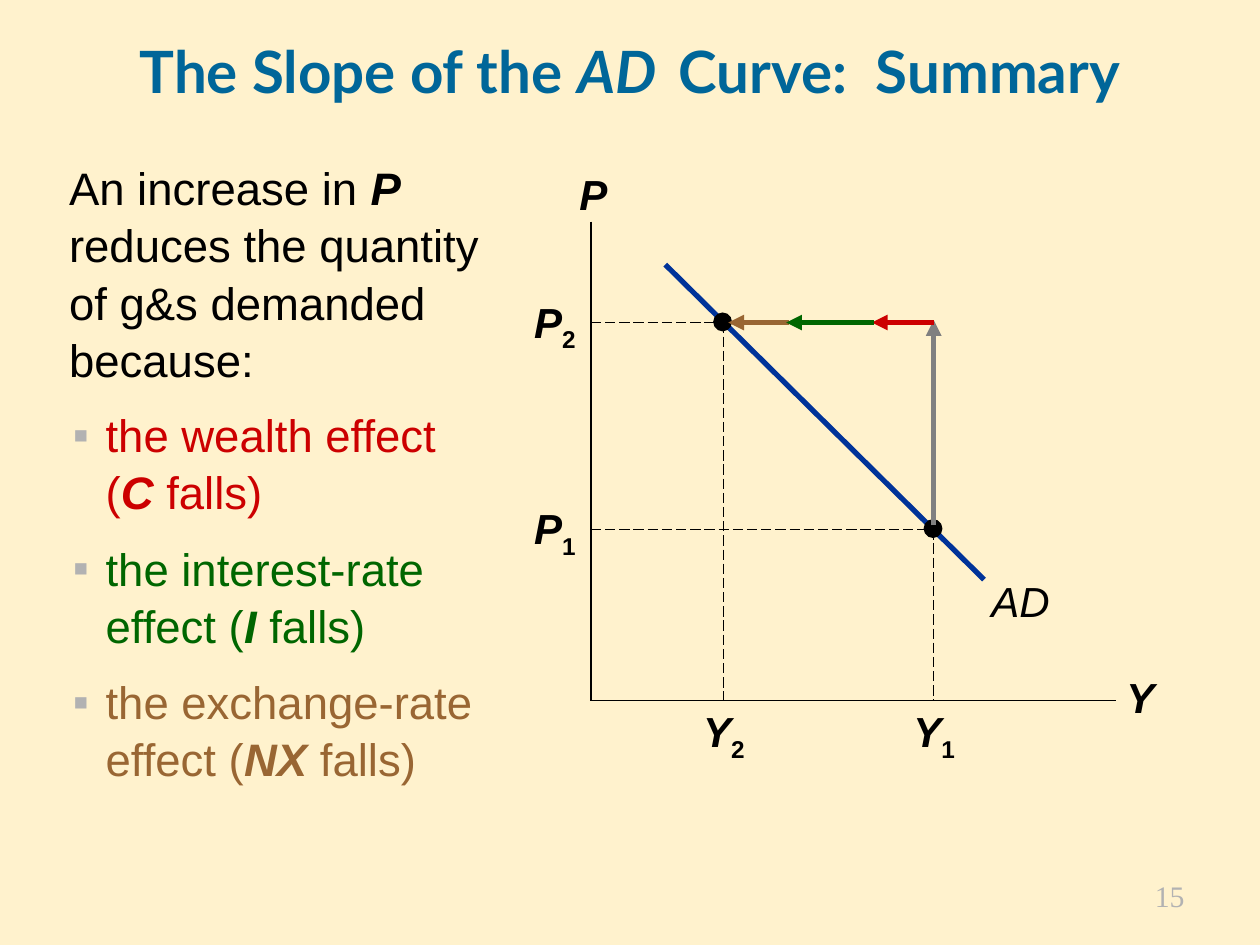
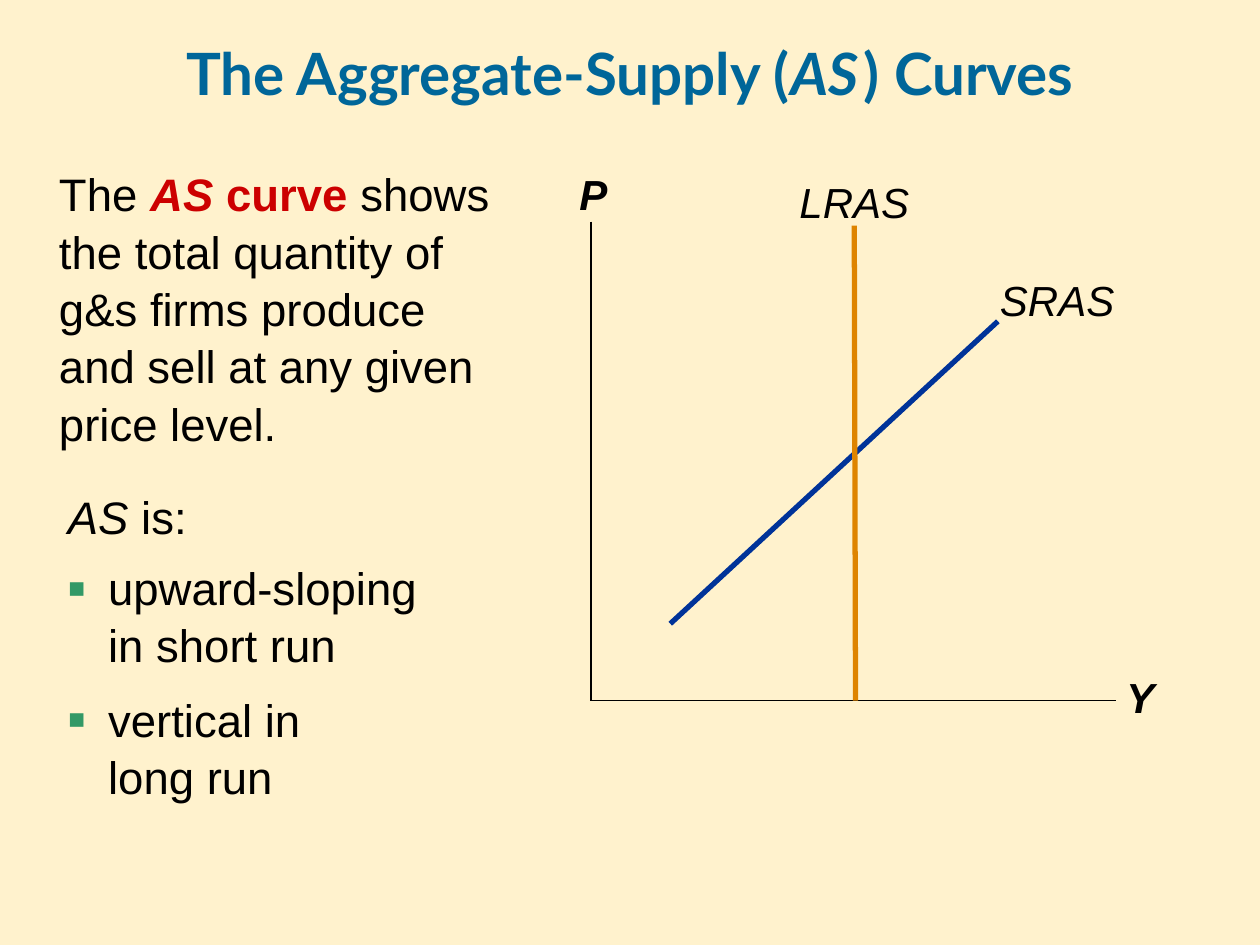
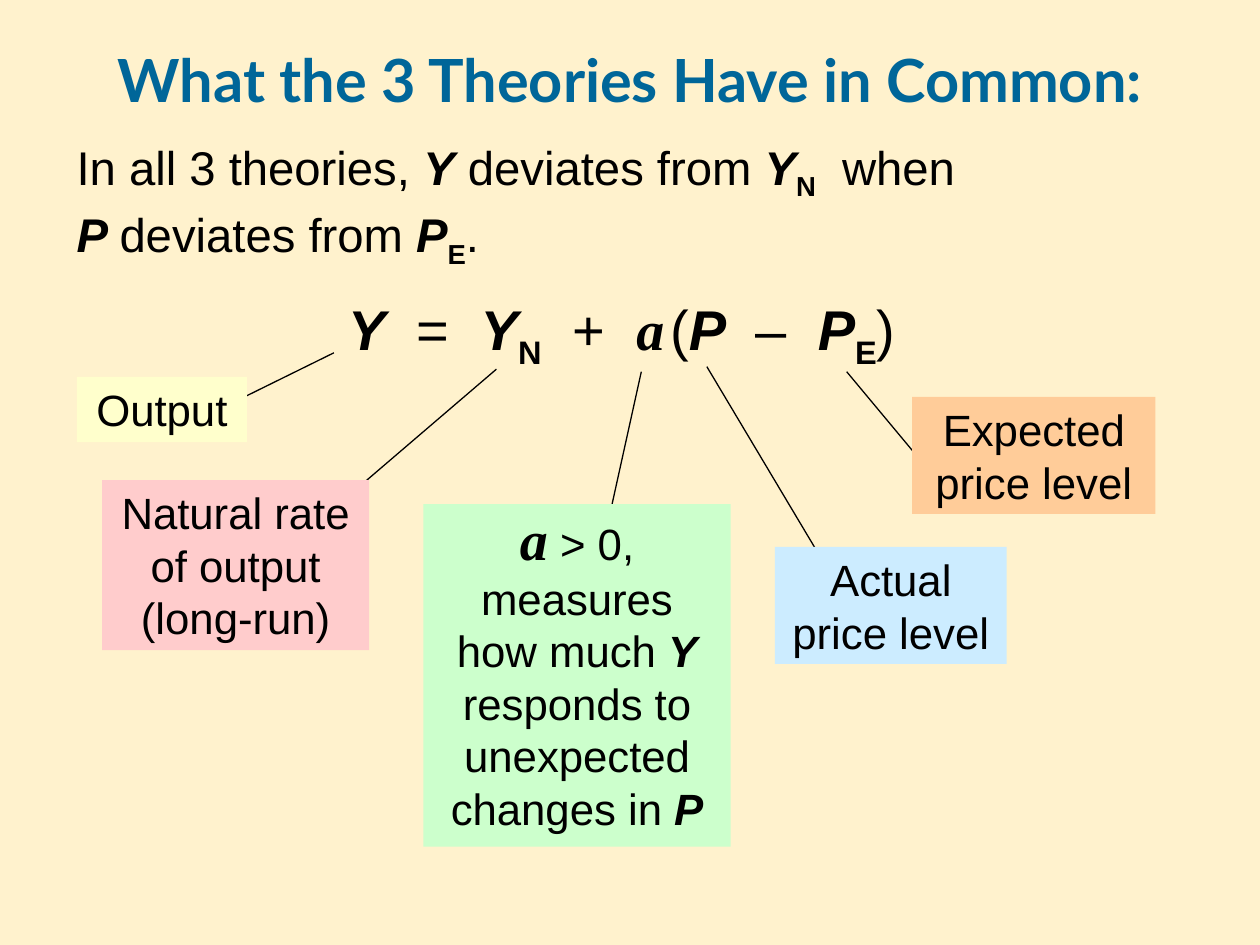
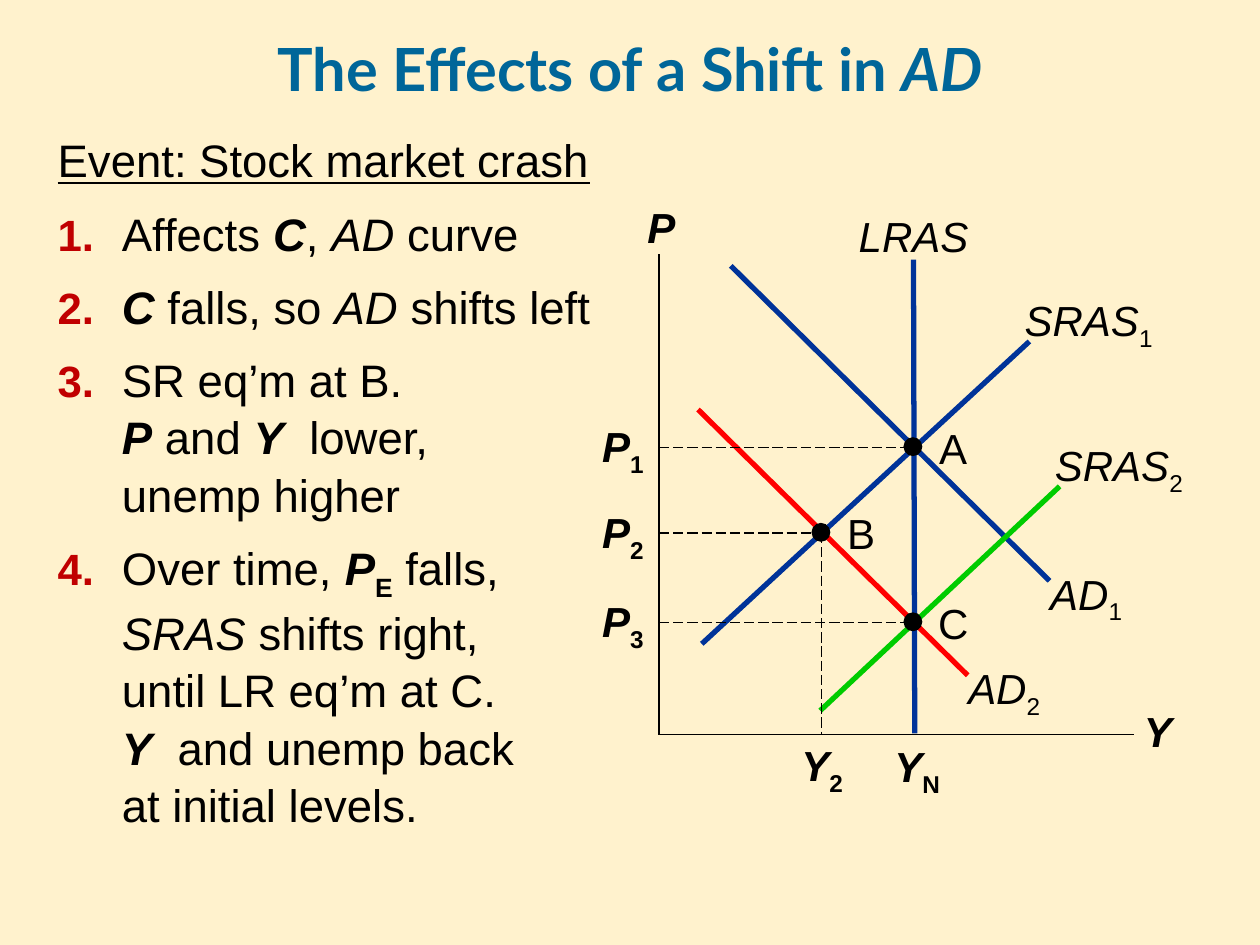
from functools import partial

from lxml.etree import SubElement
from pptx import Presentation
from pptx.dml.color import RGBColor
from pptx.enum.dml import MSO_LINE
from pptx.enum.shapes import MSO_CONNECTOR, MSO_SHAPE
from pptx.enum.text import MSO_ANCHOR, PP_ALIGN
from pptx.oxml.ns import qn
from pptx.util import Emu, Inches, Pt

SLIDE_WIDTH, SLIDE_HEIGHT = Inches(10), Inches(7.5)
CELL = SLIDE_WIDTH // 10

CREAM = RGBColor(0xFF, 0xF2, 0xCD)
TEAL = RGBColor(0x00, 0x66, 0x99)
BLACK = RGBColor(0x00, 0x00, 0x00)
NAVY = RGBColor(0x00, 0x33, 0x99)
CRIMSON = RGBColor(0xCC, 0x00, 0x00)
DARK_RED = RGBColor(0xC0, 0x00, 0x00)
RED = RGBColor(0xFF, 0x00, 0x00)
DARK_GREEN = RGBColor(0x00, 0x66, 0x00)
BRIGHT_GREEN = RGBColor(0x00, 0xCC, 0x00)
SEA_GREEN = RGBColor(0x33, 0x99, 0x66)
BROWN = RGBColor(0x99, 0x66, 0x33)
ORANGE = RGBColor(0xDE, 0x84, 0x00)
GRAY = RGBColor(0x80, 0x80, 0x80)
LIGHT_GRAY = RGBColor(0xB2, 0xB2, 0xB2)
PALE_YELLOW = RGBColor(0xFF, 0xFF, 0xCC)
PALE_PINK = RGBColor(0xFF, 0xCC, 0xCC)
PALE_GREEN = RGBColor(0xCC, 0xFF, 0xCC)
PALE_BLUE = RGBColor(0xCC, 0xEC, 0xFF)
PALE_ORANGE = RGBColor(0xFF, 0xCC, 0x99)

BODY_FONT, TITLE_FONT, SERIF_FONT = "Arial", "Lato", "Times New Roman"
INSETS = (0.1, 0.05, 0.1, 0.05)
NO_INSETS = (0, 0, 0, 0)

AD_SHIFT = (0.29, -0.15)
SRAS_SHIFT = (0.47, -0.42)
LRAS_SHIFT = (0, -0.44)


def grid(cells):
    return Emu(round(cells * CELL))


def styled(text, **format):
    return text, format


strong = partial(styled, bold=True, italic=True)
slanted = partial(styled, italic=True)
subscript = partial(styled, baseline=-25)
strong_subscript = partial(styled, bold=True, baseline=-25)


def add_run(paragraph, text, size, color, font, bold=False, italic=False,
            underline=False, baseline=0):
    for index, line in enumerate(text.split("\n")):
        if index:
            paragraph.add_line_break()
        if not line:
            continue
        run = paragraph.add_run()
        run.text = line
        run.font.name = font
        run.font.size = Pt(size)
        run.font.color.rgb = color
        run.font.bold = bold
        run.font.italic = italic
        run.font.underline = underline
        if baseline:
            run._r.get_or_add_rPr().set("baseline", str(baseline * 1000))


def set_bullet(paragraph, color, percent):
    properties = paragraph._p.get_or_add_pPr()
    bullet_color = SubElement(properties, qn("a:buClr"))
    SubElement(bullet_color, qn("a:srgbClr"), val=str(color))
    SubElement(properties, qn("a:buSzPct"), val=str(percent * 1000))
    SubElement(properties, qn("a:buFont"), typeface=BODY_FONT)
    SubElement(properties, qn("a:buChar"), char="▪")


def add_text(slide, box, *paragraphs, size=26, color=BLACK, font=BODY_FONT,
             bold=False, align=PP_ALIGN.LEFT, anchor=MSO_ANCHOR.TOP,
             insets=INSETS, fill=None, wrap=True, line_spacing=1.0,
             space_before=0, indent=0, bullet_color=None, bullet_size=100,
             first_bullet=0):
    place = [grid(length) for length in box]
    if fill is None:
        shape = slide.shapes.add_textbox(*place)
    else:
        shape = add_filled_shape(slide, MSO_SHAPE.RECTANGLE, box, fill)
    frame = shape.text_frame
    frame.word_wrap = wrap
    frame.vertical_anchor = anchor
    (frame.margin_left, frame.margin_top,
     frame.margin_right, frame.margin_bottom) = map(grid, insets)
    for index, runs in enumerate(paragraphs):
        paragraph = frame.add_paragraph() if index else frame.paragraphs[0]
        paragraph.alignment = align
        paragraph.line_spacing = line_spacing
        paragraph.space_before = Pt(space_before if index else 0)
        if indent:
            properties = paragraph._p.get_or_add_pPr()
            properties.set("marL", str(grid(indent)))
            properties.set("indent", str(-grid(indent)))
        if bullet_color is not None and index >= first_bullet:
            set_bullet(paragraph, bullet_color, bullet_size)
        for run in runs:
            text, changes = (run, {}) if isinstance(run, str) else run
            format = dict(size=size, color=color, font=font, bold=bold)
            add_run(paragraph, text, **{**format, **changes})
    return shape


add_centered = partial(add_text, align=PP_ALIGN.CENTER)
add_body = partial(add_text, line_spacing=1.05)


def add_filled_shape(slide, kind, box, color):
    shape = slide.shapes.add_shape(kind, *[grid(length) for length in box])
    shape.shadow.inherit = False
    shape.fill.solid()
    shape.fill.fore_color.rgb = color
    shape.line.fill.background()
    return shape


def add_line(slide, start, end, color=BLACK, width=0.75, dashed=False, arrow=False):
    connector = slide.shapes.add_connector(
        MSO_CONNECTOR.STRAIGHT, *[grid(length) for length in (*start, *end)])
    connector.line.color.rgb = color
    connector.line.width = Pt(width)
    if dashed:
        connector.line.dash_style = MSO_LINE.LONG_DASH
    properties = connector._element.spPr
    if arrow:
        SubElement(properties.find(qn("a:ln")), qn("a:tailEnd"), type="triangle")
    SubElement(properties, qn("a:effectLst"))


def add_title(slide, top, *runs, size):
    add_centered(slide, (0, top, 10, 0.71), runs, size=size, color=TEAL,
                 font=TITLE_FONT, bold=True, anchor=MSO_ANCHOR.MIDDLE)


def add_axes(slide, origin, top, right):
    x, y = origin
    add_line(slide, (x, top), origin, width=1)
    add_line(slide, origin, (right, y), width=1)
    add_centered(slide, (x - 0.21, top - 0.47, 0.46, 0.5), [strong("P")], size=24)
    add_centered(slide, (right - 0.06, y - 0.28, 0.5, 0.5), [strong("Y")], size=24)


def add_curve(slide, start, end, name, shift, number="", color=NAVY):
    add_line(slide, start, end, color, width=3)
    width = 0.87 if name == "AD" else 1.29
    box = (end[0] + shift[0] - width / 2, end[1] + shift[1], width, 0.5)
    add_centered(slide, box, [slanted(name), subscript(number)], size=24)


def add_point(slide, origin, point, number, has_output=True, letter=""):
    x, y = point
    add_label = partial(add_centered, slide, size=24, insets=NO_INSETS)
    add_line(slide, (origin[0], y), point, dashed=True)
    add_label((origin[0] - 0.55, y - 0.21, 0.53, 0.4),
              [strong("P"), strong_subscript(number)])
    if has_output:
        add_line(slide, point, (x, origin[1]), dashed=True)
        add_label((x - 0.26, origin[1] + 0.04, 0.53, 0.4),
                  [strong("Y"), strong_subscript(number)])
    add_filled_shape(slide, MSO_SHAPE.OVAL, (x - 0.08, y - 0.08, 0.15, 0.15), BLACK)
    if letter:
        add_label((x + 0.14, y - 0.2, 0.35, 0.4), [letter])


def add_callout(slide, start, end, box, fill, *runs, **format):
    add_line(slide, start, end)
    add_centered(slide, box, runs, fill=fill, size=25, **format)


def build_ad_slope(slide):
    add_text(slide, (8.25, 6.92, 1.25, 0.39), ["15"], size=17, font=SERIF_FONT,
             color=LIGHT_GRAY, align=PP_ALIGN.RIGHT)
    add_title(slide, 0.2, "The Slope of the ", slanted("AD "),
              styled(" ", size=21.6), "Curve:  Summary", size=33.3)
    add_body(slide, (0.45, 1.2, 3.57, 2.02),
             ["An increase in ", strong("P"),
              " reduces the quantity of g&s demanded because:"])
    effects = [("the wealth effect (", "C", CRIMSON),
               ("the interest-rate effect (", "I", DARK_GREEN),
               ("the exchange-rate effect (", "NX", BROWN)]
    for index, (effect, symbol, color) in enumerate(effects):
        add_body(slide, (0.48, 3.16 + 1.06 * index, 3.48, 1.12),
                 [effect, strong(symbol), " falls)"], color=color,
                 indent=0.26, bullet_color=LIGHT_GRAY)

    origin, low, high = (4.69, 5.56), (7.41, 4.2), (5.74, 2.56)
    add_axes(slide, origin, 1.76, 8.86)
    add_curve(slide, (5.28, 2.1), (7.81, 4.6), "AD", (0.29, -0.08))
    add_point(slide, origin, low, "1")
    add_point(slide, origin, high, "2")
    add_line(slide, (low[0], 4.17), (low[0], 2.54), GRAY, 3, arrow=True)
    for start, end, color in [(7.41, 6.92, CRIMSON), (6.26, 5.78, BROWN),
                              (6.94, 6.24, DARK_GREEN)]:
        add_line(slide, (start, high[1]), (end, high[1]), color, 3, arrow=True)


def build_as_curves(slide):
    add_title(slide, 0.22, "The Aggregate-Supply (", slanted("AS"),
              slanted(" ", size=15.3), ") Curves", size=33.3)
    add_body(slide, (0.37, 1.25, 3.74, 2.51),
             ["The ", strong("AS", color=CRIMSON),
              styled(" curve", color=CRIMSON, bold=True),
              " shows the total quantity of\n"
              "g&s firms produce and sell at any given price level."])
    add_bullets = partial(add_body, slide, indent=0.32, space_before=7.8,
                          bullet_color=SEA_GREEN, bullet_size=120)
    add_bullets((0.44, 3.81, 3.54, 1.59), [slanted("AS"), " is:"],
                ["upward-sloping\nin short run"], first_bullet=1)
    add_bullets((0.44, 5.42, 2.4, 1.05), ["vertical in long run"])

    add_axes(slide, (4.69, 5.56), 1.76, 8.86)
    add_curve(slide, (5.32, 4.95), (7.92, 2.55), "SRAS", SRAS_SHIFT)
    add_curve(slide, (6.79, 5.56), (6.78, 1.79), "LRAS", LRAS_SHIFT, color=ORANGE)


def build_theories(slide):
    add_title(slide, 0.27, "What the 3 Theories Have in Common:", size=34)
    natural_output = strong("Y"), strong_subscript("N")
    expected_price = strong("P"), strong_subscript("E")
    add_body(slide, (0.51, 1.02, 9, 1.07),
             ["In all 3 theories, ", strong("Y"), " deviates from ",
              *natural_output, "  when\n", strong("P "), "deviates from ",
              *expected_price, "."], size=27)
    add_centered(slide, (2.51, 2.25, 4.85, 0.78),
                 [strong("Y"), "  =  ", *natural_output, "  +  ",
                  strong("a", font=SERIF_FONT), styled(" ", size=12), "(",
                  strong("P  "), "–  ", *expected_price, ")"],
                 size=32, anchor=MSO_ANCHOR.MIDDLE)
    add_callout(slide, (1.94, 3.15), (2.65, 2.8), (0.61, 2.99, 1.35, 0.52),
                PALE_YELLOW, "Output")
    add_callout(slide, (2.48, 4.18), (3.94, 2.93), (0.81, 3.81, 2.12, 1.35),
                PALE_PINK, "Natural rate of output (long-run)")
    add_callout(slide, (5.09, 2.95), (4.77, 4.4), (3.36, 4, 2.44, 2.72),
                PALE_GREEN, strong("a", size=32, font=SERIF_FONT),
                " > 0, measures how much ", strong("Y"),
                " responds to unexpected changes in ", strong("P"),
                anchor=MSO_ANCHOR.MIDDLE, insets=(0.1, 0, 0.1, 0.1))
    add_callout(slide, (6.63, 4.62), (5.61, 2.91), (6.15, 4.34, 1.84, 0.93),
                PALE_BLUE, "Actual price level")
    add_callout(slide, (7.27, 3.61), (6.72, 2.95), (7.24, 3.15, 1.93, 0.93),
                PALE_ORANGE, "Expected price level")


def build_ad_shift(slide):
    add_title(slide, 0.18, "The Effects of a Shift in ", slanted("AD"), size=34)
    steps = [
        ["Affects ", strong("C"), ", ", slanted("AD"), " curve"],
        [strong("C"), " falls, so ", slanted("AD"), " shifts left"],
        ["SR eq’m at B.\n", strong("P"), " and ", strong("Y"),
         "  lower,\nunemp higher"],
        ["Over time, ", strong("P"), strong_subscript("E"), " falls,\n",
         slanted("SRAS"), " shifts right,\nuntil LR eq’m at C.\n",
         strong("Y"), "  and unemp back\nat initial levels."],
    ]
    numbered = [[styled(f"{number}. \t", size=25, color=DARK_RED, bold=True), *step]
                for number, step in enumerate(steps, 1)]
    add_body(slide, (0.36, 0.98, 4.46, 5.93),
             [styled("Event: Stock market crash", underline=True)], *numbered,
             indent=0.51, space_before=9.1)

    origin, natural_output = (5.23, 5.83), 7.25
    add_curve(slide, (7.26, 5.82), (natural_output, 2.06), "LRAS", LRAS_SHIFT)
    add_text(slide, (7, 5.83, 0.58, 0.5), [strong("Y"), strong_subscript("N")],
             size=24, wrap=False)
    add_axes(slide, origin, 2.02, 9)
    add_curve(slide, (5.8, 2.11), (8.33, 4.61), "AD", AD_SHIFT, "1")
    add_curve(slide, (5.57, 5.11), (8.17, 2.71), "SRAS", SRAS_SHIFT, "1")
    add_curve(slide, (5.54, 3.25), (7.68, 5.36), "AD", AD_SHIFT, "2", RED)
    add_curve(slide, (6.51, 5.64), (8.41, 3.86), "SRAS", SRAS_SHIFT, "2", BRIGHT_GREEN)
    add_point(slide, origin, (natural_output, 3.55), "1", has_output=False, letter="A")
    add_point(slide, origin, (6.52, 4.23), "2", letter="B")
    add_point(slide, origin, (natural_output, 4.94), "3", has_output=False, letter="C")


def main():
    presentation = Presentation()
    presentation.slide_width, presentation.slide_height = SLIDE_WIDTH, SLIDE_HEIGHT
    background = presentation.slide_master.background.fill
    background.solid()
    background.fore_color.rgb = CREAM
    blank_layout = presentation.slide_layouts[6]
    for build in (build_ad_slope, build_as_curves, build_theories, build_ad_shift):
        build(presentation.slides.add_slide(blank_layout))
    presentation.save("out.pptx")


if __name__ == "__main__":
    main()
